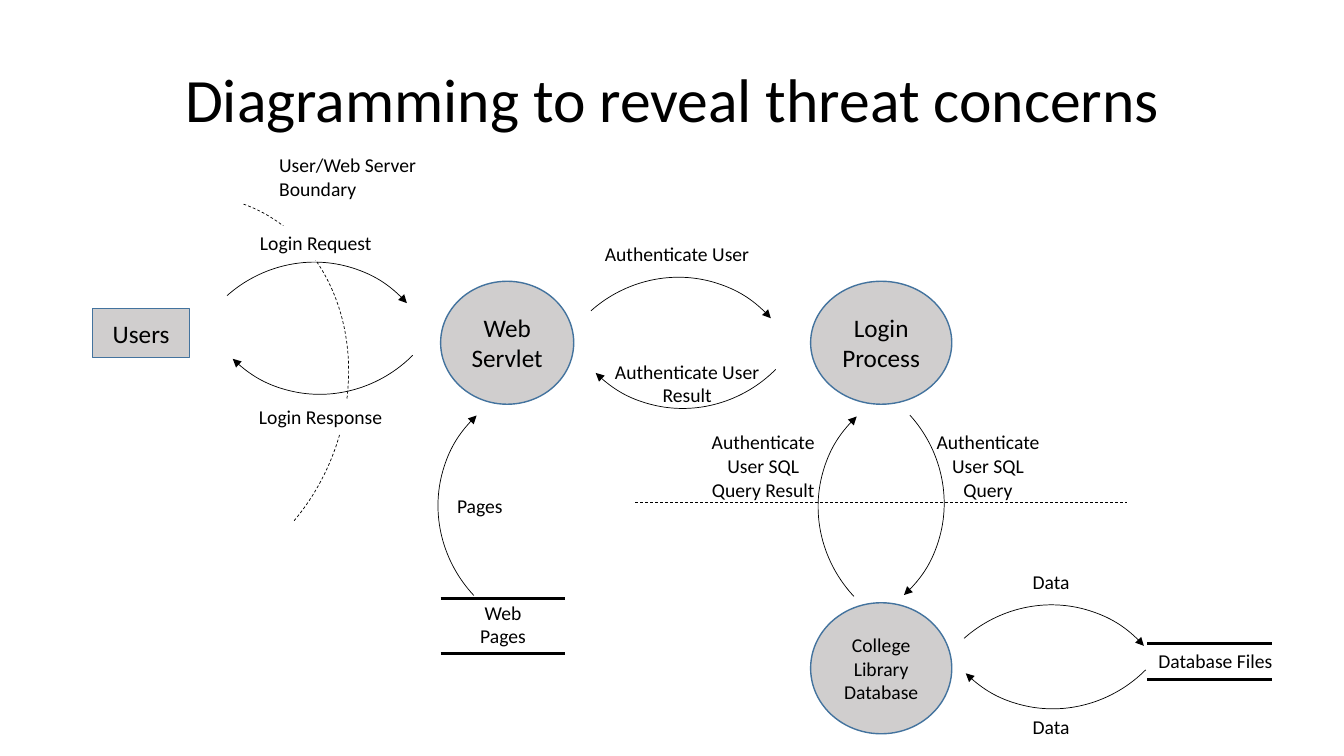
from dataclasses import dataclass

import pptx
import pptx.dml.color
import pptx.enum.dml
import pptx.enum.shapes
import pptx.enum.text
import pptx.oxml
import pptx.oxml.ns
import pptx.util

SHAPE = pptx.enum.shapes.MSO_SHAPE
ALIGN = pptx.enum.text.PP_ALIGN
ANCHOR = pptx.enum.text.MSO_ANCHOR
ROWS = 7.5          # one grid cell is a square of 1/7.5 of the slide height
COLUMNS = 13.33
CELL = pptx.util.Inches(1)


@dataclass(frozen=True)
class Theme:
    font: str = "Calibri"
    ink: str = "000000"
    paper: str = "FFFFFF"
    node_fill: str = "D0CECE"
    node_line: str = "43739E"
    title_size: float = 44
    node_size: float = 18
    label_size: float = 14
    thin: float = 0.5
    edge: float = 1
    thick: float = 2
    arc_width: float = 2.57
    arc_height: float = 2.48


THEME = Theme()
OUT, BACK, UP, DOWN = 318.4, 134.9, 226.9, 47.9   # turns of a flow arc


@dataclass(frozen=True)
class Box:
    left: float
    top: float
    width: float
    height: float

    def inner(self, column, row, width, height):
        """Box placed by its offset, in cells, from this box's corner."""
        return Box(self.left + column, self.top + row, width, height)

    def emu(self):
        return [round(n * CELL) for n in (self.left, self.top, self.width, self.height)]


def rgb(value):
    return pptx.dml.color.RGBColor.from_string(value)


def write(frame, text, size=THEME.label_size, align=ALIGN.CENTER,
          anchor=ANCHOR.TOP, wrap=True, spacing=None):
    frame.word_wrap = wrap
    frame.vertical_anchor = anchor
    for index, line in enumerate(text.split("\n")):
        paragraph = frame.add_paragraph() if index else frame.paragraphs[0]
        paragraph.alignment = align
        paragraph.line_spacing = spacing
        run = paragraph.add_run()
        run.text = line
        run.font.name = THEME.font
        run.font.size = pptx.util.Pt(size)
        run.font.color.rgb = rgb(THEME.ink)


def stroke(line, color=THEME.ink, width=THEME.thin, dashed=False):
    line.color.rgb = rgb(color)
    line.width = pptx.util.Pt(width)
    if dashed:
        line.dash_style = pptx.enum.dml.MSO_LINE.DASH


def node(slide, box, text, kind=SHAPE.OVAL, size=THEME.node_size):
    shape = slide.shapes.add_shape(kind, *box.emu())
    shape.shadow.inherit = False
    shape.fill.solid()
    shape.fill.fore_color.rgb = rgb(THEME.node_fill)
    stroke(shape.line, THEME.node_line, THEME.edge)
    write(shape.text_frame, text, size=size, anchor=ANCHOR.MIDDLE)


def arc(slide, box, turn, sweep_end=0, **style):
    shape = slide.shapes.add_shape(SHAPE.ARC, *box.emu())
    shape.shadow.inherit = False
    shape.fill.background()
    shape.adjustments[0] = 162
    shape.adjustments[1] = sweep_end
    shape.rotation = turn
    stroke(shape.line, **style)
    return shape


def flow(slide, box, column, row, turn):
    """Arc that ends in an arrowhead."""
    shape = arc(slide, box.inner(column, row, THEME.arc_width, THEME.arc_height), turn)
    outline = shape._element.spPr.find(pptx.oxml.ns.qn("a:ln"))
    outline.append(pptx.oxml.parse_xml(
        f'<a:tailEnd {pptx.oxml.ns.nsdecls("a")} type="triangle"/>'))


def rule(slide, box, **style):
    left, top, width, _ = box.emu()
    line = slide.shapes.add_connector(
        pptx.enum.shapes.MSO_CONNECTOR.STRAIGHT, left, top, left + width, top)
    stroke(line.line, **style)
    line._element.spPr.append(
        pptx.oxml.parse_xml(f'<a:effectLst {pptx.oxml.ns.nsdecls("a")}/>'))


def label(slide, box, text, align=ALIGN.CENTER, masked=False):
    """Caption sized to its text; a masked one hides the lines behind it."""
    caption = slide.shapes.add_textbox(*box.emu())
    if masked:
        caption.fill.solid()
        caption.fill.fore_color.rgb = rgb(THEME.paper)
    write(caption.text_frame, text, align=align, wrap=False)
    caption.text_frame.auto_size = pptx.enum.text.MSO_AUTO_SIZE.SHAPE_TO_FIT_TEXT


def data_store(slide, box, text, text_box):
    """Caption between two heavy rules along the top and bottom of the box."""
    label(slide, text_box, text)
    for row in (0, box.height):
        rule(slide, box.inner(0, row, box.width, 0), width=THEME.thick)


def title(slide, box):
    heading = slide.shapes.add_textbox(*box.emu())
    write(heading.text_frame, "Diagramming to reveal threat concerns",
          size=THEME.title_size, anchor=ANCHOR.MIDDLE, spacing=0.9)


def user_region(slide, box):
    node(slide, box.inner(0, 1.65, 0.96, 0.49), "Users", kind=SHAPE.RECTANGLE)
    arc(slide, box.inner(-0.84, 0.5, 3.34, 3.97), 19.6, sweep_end=16.845, dashed=True)
    flow(slide, box, 0.87, 1.21, OUT)
    flow(slide, box, 1.01, 0, BACK)
    label(slide, box.inner(1.75, 0.06, 1.57, 0.57), "User/Web Server\nBoundary", ALIGN.LEFT)
    label(slide, box.inner(1.56, 0.83, 1.32, 0.34), "Login Request", ALIGN.LEFT, masked=True)
    label(slide, box.inner(1.55, 2.56, 1.44, 0.34), "Login Response", ALIGN.LEFT, masked=True)


def servlet_region(slide, box):
    node(slide, box.inner(0, 0, 1.32, 1.22), "Web Servlet")
    flow(slide, box, 1.03, -0.02, OUT)
    flow(slide, box, 1.16, -1.24, BACK)
    flow(slide, box, -0.05, 1.03, UP)
    label(slide, box.inner(1.52, -0.44, 1.65, 0.34), "Authenticate User")
    label(slide, box.inner(1.62, 0.73, 1.65, 0.57), "Authenticate User\nResult")
    label(slide, box.inner(0.06, 2.06, 0.66, 0.34), "Pages")
    data_store(slide, box.inner(0, 3.15, 1.23, 0.54), "Web\nPages",
               box.inner(0.29, 3.12, 0.66, 0.57))


def login_region(slide, box):
    node(slide, box.inner(0, 0, 1.4, 1.22), "Login Process")
    rule(slide, box.inner(-1.74, 2.19, 4.88, 0), dashed=True)
    flow(slide, box, 0.05, 1.04, UP)
    flow(slide, box, -1.22, 0.92, DOWN)
    for column, ending in ((1.14, "Query"), (-1.09, "Query Result")):
        label(slide, box.inner(column, 1.43, 1.24, 0.81), f"Authenticate\nUser SQL\n{ending}")


def database_region(slide, box):
    node(slide, box.inner(0, 0, 1.4, 1.3), "College Library Database", size=THEME.label_size)
    flow(slide, box, 1.06, 0.04, OUT)
    flow(slide, box, 1.16, -1.45, BACK)
    for row in (-0.38, 1.06):
        label(slide, box.inner(2.1, row, 0.57, 0.34), "Data")
    data_store(slide, box.inner(3.34, 0.4, 1.24, 0.36), "Database Files",
               box.inner(3.34, 0.41, 1.35, 0.34))


def main():
    deck = pptx.Presentation()
    deck.slide_width = round(COLUMNS * CELL)
    deck.slide_height = round(ROWS * CELL)
    slide = deck.slides.add_slide(deck.slide_layouts[6])
    title(slide, Box(0.92, 0.29, 11.5, 1.45))
    user_region(slide, Box(0.92, 1.41, 3.58, 4.47))
    servlet_region(slide, Box(4.37, 2.79, 3.67, 3.69))
    login_region(slide, Box(8.04, 2.79, 3.14, 3.19))
    database_region(slide, Box(8.04, 5.98, 4.69, 1.4))
    deck.save("out.pptx")


if __name__ == "__main__":
    main()
